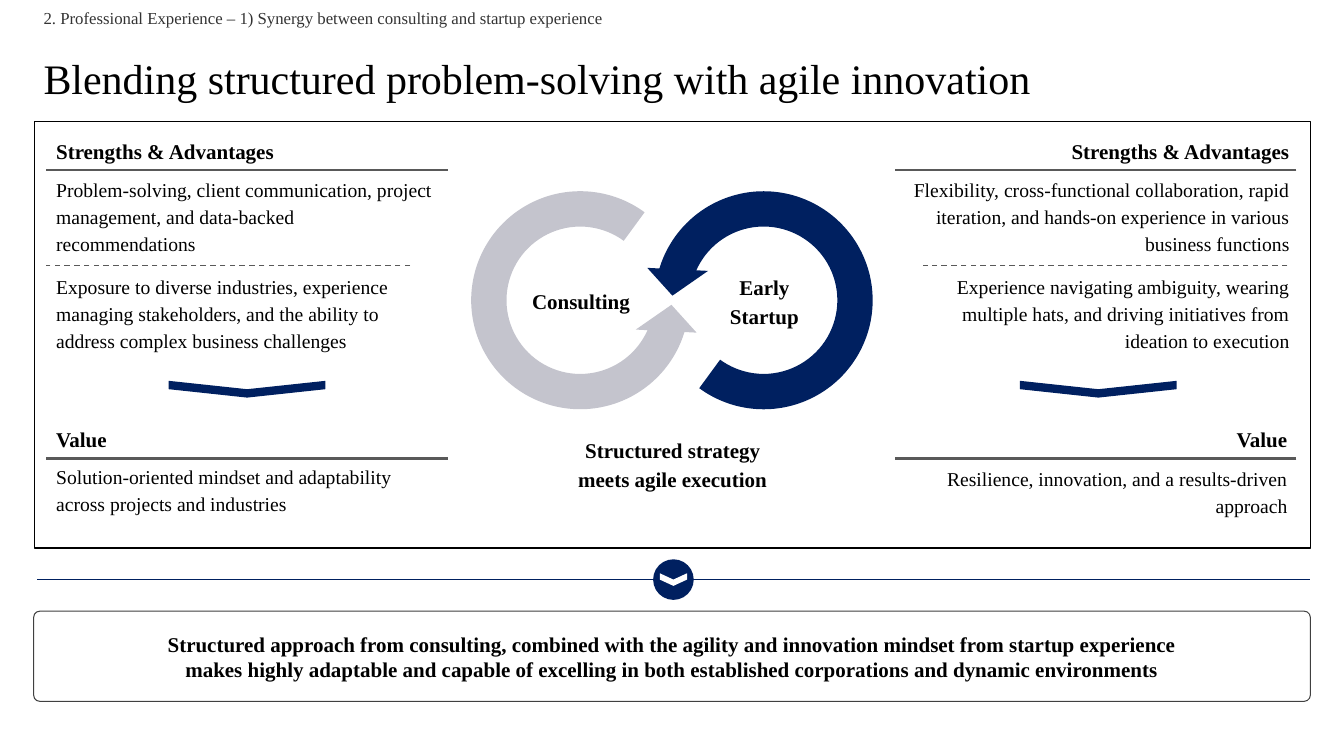
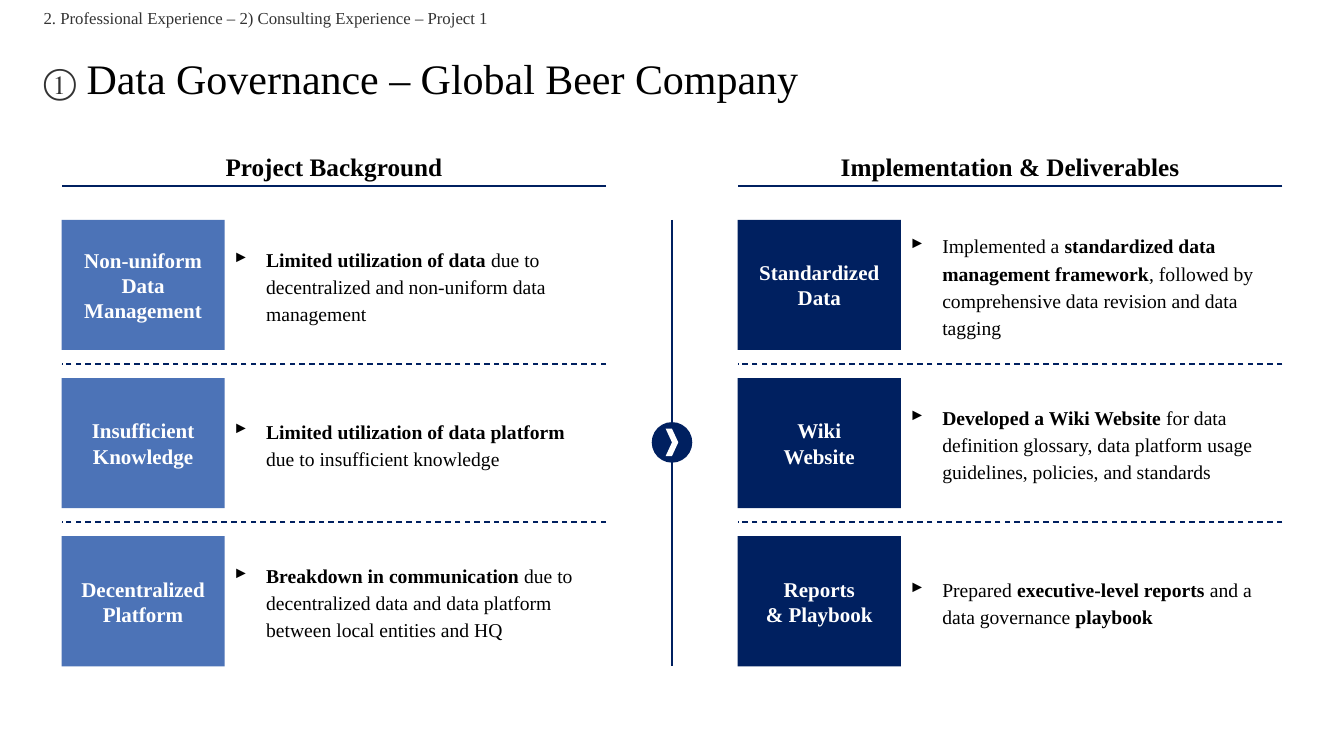
from pptx import Presentation
from pptx.dml.color import RGBColor
from pptx.enum.dml import MSO_LINE
from pptx.enum.shapes import MSO_CONNECTOR, MSO_SHAPE
from pptx.enum.text import MSO_ANCHOR, PP_ALIGN
from pptx.oxml.ns import qn
from pptx.util import Pt
from lxml.etree import SubElement

FONT = "Times New Roman"
NAVY = RGBColor(0x00, 0x20, 0x60)
BLUE = RGBColor(0x4C, 0x73, 0xB7)
SILVER = RGBColor(0xC4, 0xC4, 0xCD)
GRAY = RGBColor(0x59, 0x59, 0x59)
DARK = RGBColor(0x33, 0x33, 0x33)
BORDER = RGBColor(0x40, 0x40, 0x40)
BLACK = RGBColor(0x00, 0x00, 0x00)
WHITE = RGBColor(0xFF, 0xFF, 0xFF)

LEFT, CENTER, RIGHT = PP_ALIGN.LEFT, PP_ALIGN.CENTER, PP_ALIGN.RIGHT
TOP, MIDDLE = MSO_ANCHOR.TOP, MSO_ANCHOR.MIDDLE


def add_box(page, kind, left, top, width, height, runs=(), align=LEFT,
            anchor=MIDDLE, spacing=1.0, fill=None, line=None, line_width=1):
    """Add a preset shape, or a text box if kind is None; runs are (text, size, colour, bold)."""
    frame = Pt(left), Pt(top), Pt(width), Pt(height)
    if kind is None:
        box = page.shapes.add_textbox(*frame)
    else:
        box = page.shapes.add_shape(kind, *frame)
        box.shadow.inherit = False
        if fill is None:
            box.fill.background()
        else:
            box.fill.solid()
            box.fill.fore_color.rgb = fill
        if line is None:
            box.line.fill.background()
        else:
            box.line.color.rgb = line
            box.line.width = Pt(line_width)
    box.text_frame.word_wrap = True
    box.text_frame.vertical_anchor = anchor
    para = box.text_frame.paragraphs[0]
    para.alignment = align
    para.line_spacing = spacing
    for text, size, color, bold in runs:
        for index, piece in enumerate(text.split("\n")):
            if index:
                para.add_line_break()
            span = para.add_run()
            span.text = piece
            span.font.name = FONT
            span.font.size = Pt(size)
            span.font.bold = bold
            span.font.color.rgb = color
    return box


def add_line(page, start_x, start_y, end_x, end_y, color=NAVY, width=1, dashed=False):
    line = page.shapes.add_connector(MSO_CONNECTOR.STRAIGHT, Pt(start_x), Pt(start_y),
                                     Pt(end_x), Pt(end_y))
    line.line.color.rgb = color
    line.line.width = Pt(width)
    if dashed:
        line.line.dash_style = MSO_LINE.DASH
    SubElement(line.element.spPr, qn("a:effectLst"))


deck = Presentation()
deck.slide_width, deck.slide_height = Pt(960), Pt(540)

# Breadcrumb and title on every page
headers = [
    ("2. Professional Experience – 1) Synergy between consulting and startup experience",
     [("Blending structured problem-solving with agile innovation", 30, BLACK, False)]),
    ("2. Professional Experience – 2) Consulting Experience – Project 1",
     [("①", 25, DARK, False),
      (" Data Governance – Global Beer Company", 30, BLACK, False)]),
]
pages = []
for breadcrumb, title_runs in headers:
    page = deck.slides.add_slide(deck.slide_layouts[6])
    add_box(page, None, 24, 0, 912, 27, [(breadcrumb, 12, DARK, False)], spacing=0.9)
    add_box(page, None, 24, 29, 912, 58, title_runs, spacing=0.9)
    pages.append(page)
synergy_page, project_page = pages

# Synergy: outer frame
add_box(synergy_page, MSO_SHAPE.RECTANGLE, 24.5, 87, 911.5, 304.5, line=BLACK)

# Synergy: strengths and value on each side
sides = [
    (LEFT, 33, 33, 326, 33, (293, 33), 176.5,
     "Problem-solving, client communication, project management, "
     "and data-backed recommendations",
     "Exposure to diverse industries, experience managing stakeholders, "
     "and the ability to address complex business challenges",
     "Solution-oriented mindset and adaptability across projects and industries"),
    (RIGHT, 641, 639.5, 327.5, 639, (919.5, 659.5), 784.5,
     "Flexibility, cross-functional collaboration, rapid iteration, "
     "and hands-on experience in various business functions",
     "Experience navigating ambiguity, wearing multiple hats, "
     "and driving initiatives from ideation to execution",
     "Resilience, innovation, and a results-driven approach"),
]
for (align, strength_left, value_left, value_top, rule_left, dash_ends, chevron_center,
     first_strength, second_strength, value) in sides:
    for text, left, top in (("Strengths & Advantages", strength_left, 92),
                            ("Value", value_left, 297.5)):
        add_box(synergy_page, None, left, top, 287, 29.5,
                [(text, 15, BLACK, True)], align, spacing=1.15)
    for text, left, top in ((first_strength, strength_left, 121),
                            (second_strength, strength_left, 190),
                            (value, value_left, value_top)):
        add_box(synergy_page, None, left, top, 287.3, 65.5 if top < 300 else 47,
                [(text, 14, BLACK, False)], align, TOP, 1.15)
    for rule_top in (121.5, 327.5):
        add_line(synergy_page, rule_left + 287, rule_top, rule_left, rule_top, GRAY, 1.5)
    add_line(synergy_page, dash_ends[0], 189.5, dash_ends[1], 189.5, GRAY, dashed=True)
    chevron = add_box(synergy_page, MSO_SHAPE.CHEVRON, chevron_center - 6, 222, 12, 112,
                      fill=NAVY)
    chevron.rotation = 90

# Synergy: two interlocking circular arrows
for ring_left, flip, color, label in ((327.5, "flipV", SILVER, "Consulting"),
                                      (458.5, "flipH", NAVY, "Early Startup")):
    ring = add_box(synergy_page, MSO_SHAPE.CIRCULAR_ARROW, ring_left, 127.5, 174, 174,
                   fill=color)
    for index, amount in enumerate((0.145, 10.12, 204.15, 32.27, 0.125)):
        ring.adjustments[index] = amount
    ring.element.spPr.xfrm.set(flip, "1")
    add_box(synergy_page, None, ring_left + 42.5, 201.5, 90, 25,
            [(label, 15, BLACK, True)], CENTER, spacing=1.15)
add_box(synergy_page, None, 366, 308, 229, 45.5,
        [("Structured strategy\nmeets agile execution", 15, BLACK, True)],
        CENTER, spacing=1.15)

# Synergy: conclusion
conclusion = add_box(
    synergy_page, MSO_SHAPE.ROUNDED_RECTANGLE, 24, 436.5, 912, 64.5,
    [("Structured approach from consulting, combined with the agility and innovation "
      "mindset from startup experience\nmakes highly adaptable and capable of excelling "
      "in both established corporations and dynamic environments", 15, BLACK, True)],
    CENTER, line=BORDER, line_width=0.75)
conclusion.adjustments[0] = 0.07

# Project: two columns of three labelled rows; details alternate (text, bold)
columns = [
    (44, BLUE, "Project Background", [
        ("Non-uniform\nData\nManagement",
         [("Limited utilization of data", True),
          (" due to decentralized and non-uniform data management", False)]),
        ("Insufficient\nKnowledge",
         [("Limited utilization of data platform ", True),
          ("due to insufficient knowledge", False)]),
        ("Decentralized\nPlatform",
         [("Breakdown in communication", True),
          (" due to decentralized data and data platform between local entities and HQ",
           False)]),
    ]),
    (527, NAVY, "Implementation & Deliverables", [
        ("Standardized\nData",
         [("Implemented a ", False), ("standardized data management framework", True),
          (", followed by comprehensive data revision and data tagging", False)]),
        ("Wiki\nWebsite",
         [("Developed a Wiki Website", True),
          (" for data definition glossary, data platform usage guidelines, "
           "policies, and standards", False)]),
        ("Reports\n& Playbook",
         [("Prepared ", False), ("executive-level reports ", True),
          ("and a data governance ", False), ("playbook", True)]),
    ]),
]
column_width, label_width, row_height, row_gap = 389, 116.5, 93, 20
for column_left, color, heading, rows in columns:
    column_right = column_left + column_width
    add_box(project_page, None, column_left, 104.5, column_width, 29,
            [(heading, 18, BLACK, True)], CENTER)
    add_line(project_page, column_right, 133, column_left, 133)
    for index, (label, details) in enumerate(rows):
        row_top = 157 + index * (row_height + row_gap)
        add_box(project_page, MSO_SHAPE.RECTANGLE, column_left, row_top, label_width,
                row_height, [(label, 15, WHITE, True)], CENTER, fill=color)
        detail = add_box(project_page, None, column_left + label_width, row_top,
                         column_width - label_width, row_height,
                         [(text, 14, BLACK, bold) for text, bold in details], spacing=1.15)
        properties = detail.text_frame.paragraphs[0]._p.get_or_add_pPr()
        properties.set("marL", str(Pt(22.5)))
        properties.set("indent", str(-Pt(22.5)))
        SubElement(properties, qn("a:buChar")).set("char", "▸")
        if index:
            dash_top = row_top - row_gap / 2
            add_line(project_page, column_right, dash_top, column_left, dash_top, dashed=True)

# Divider with a round chevron marker on each page
dividers = [
    (synergy_page, (935.5, 414, 26.5, 414), 481, 414, 90),
    (project_page, (480, 157, 480, 476), 480, 316, 0),
]
for page, ends, center_x, center_y, rotation in dividers:
    add_line(page, *ends)
    for kind, width, height, color in ((MSO_SHAPE.OVAL, 29, 29, NAVY),
                                       (MSO_SHAPE.CHEVRON, 9, 19.5, WHITE)):
        marker = add_box(page, kind, center_x - width / 2, center_y - height / 2,
                         width, height, fill=color)
        marker.rotation = rotation

deck.save("out.pptx")
